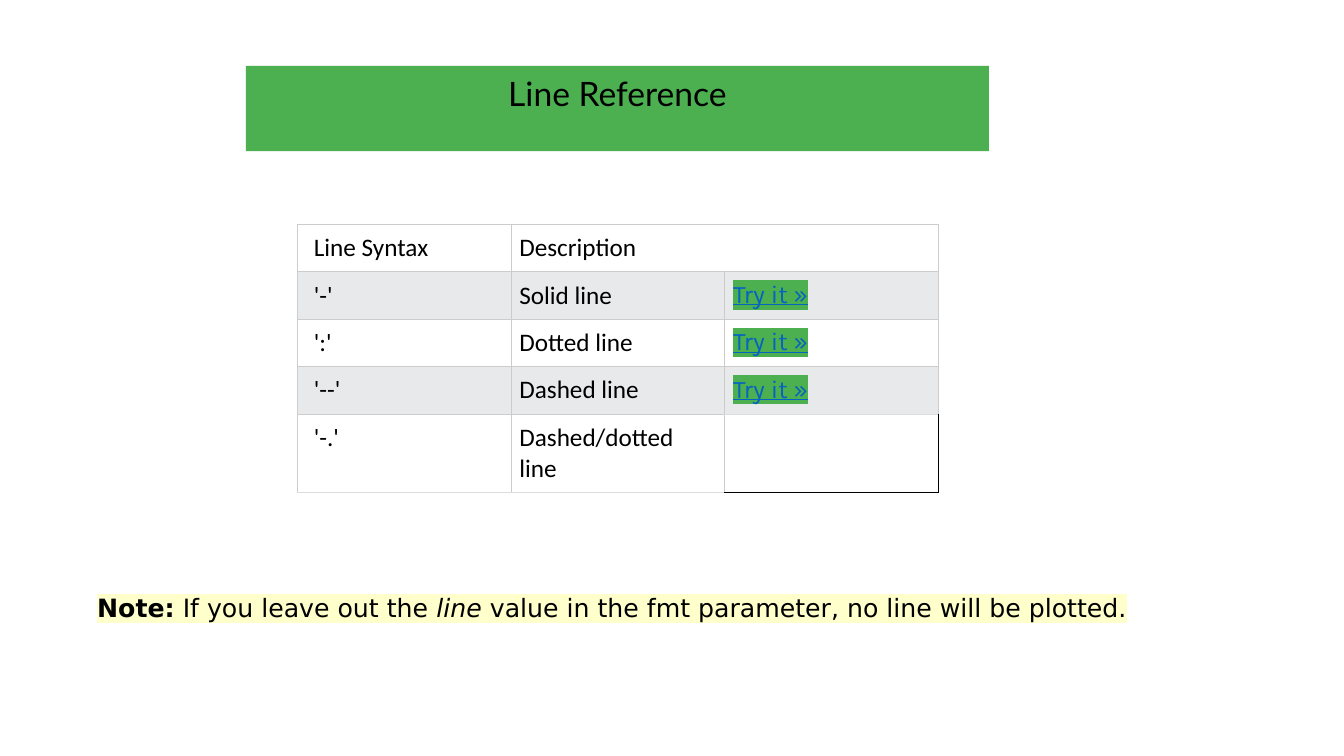
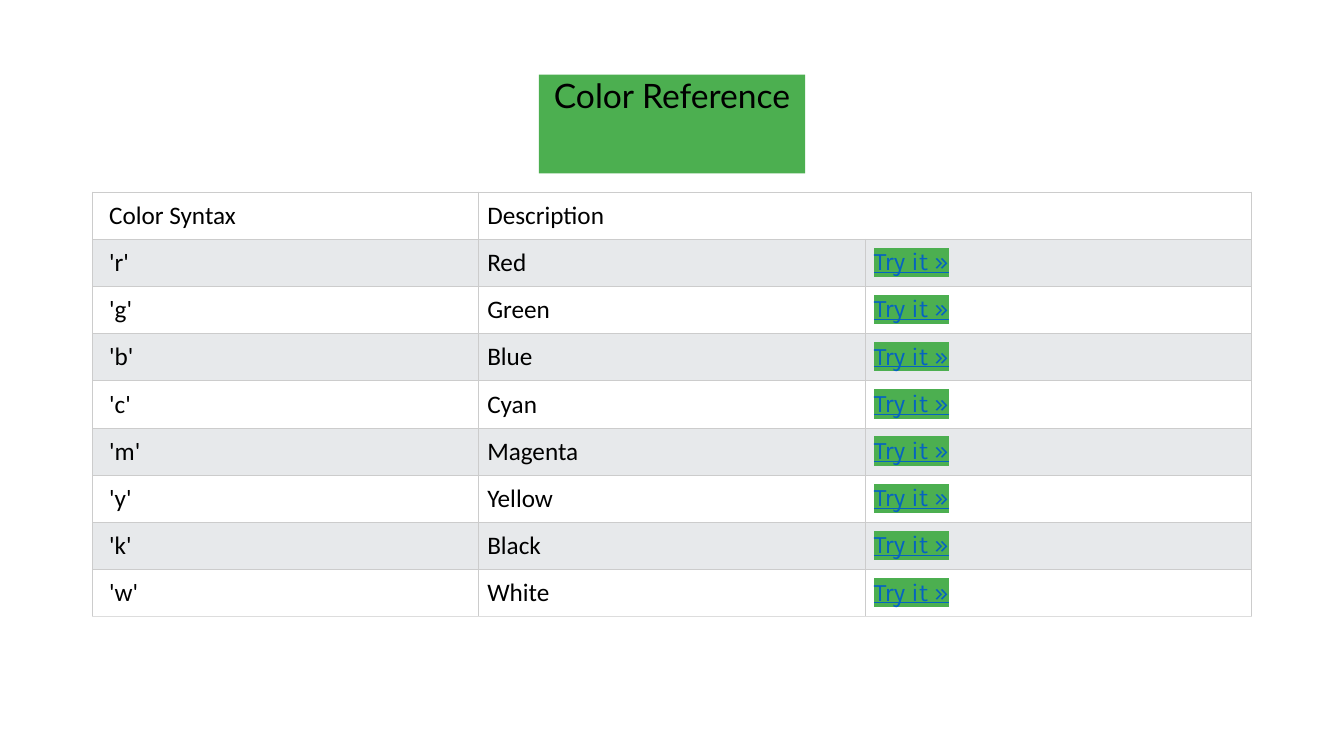
from dataclasses import dataclass

from lxml.etree import SubElement
from pptx import Presentation
from pptx.dml.color import RGBColor
from pptx.enum.shapes import MSO_SHAPE
from pptx.enum.text import MSO_ANCHOR, PP_ALIGN
from pptx.oxml import parse_xml
from pptx.oxml.ns import nsdecls, qn
from pptx.util import Cm, Pt


@dataclass(frozen=True)
class Theme:
    text: str = "000000"
    green: str = "4CAF50"
    link: str = "0563C1"
    white: str = "FFFFFF"
    stripe: str = "E7E9EB"
    border: str = "CCCCCC"
    last_border: str = "DDDDDD"
    note: str = "FFFFCC"
    title_font: str = "Lato"
    body_font: str = "Calibri"
    link_font: str = "Karla"
    note_font: str = "DejaVu Sans"
    title_size: int = 24
    body_size: int = 18
    border_width: float = 0.75
    open_width: float = 1


THEME = Theme()
ROW_HEIGHT = 1.19
CELL_MARGIN = 0.21
FIRST_MARGIN = 0.42
TRY_IT = "Try it »"

# Boxes are left, top, width, height in centimetres.
SLIDES = [
    {
        "title": "Line Reference",
        "band": (6.2, 1.66, 18.72, 2.15),
        "title_inset": 0.18,
        "table_at": (7.49, 5.65),
        "column_width": 5.39,
        "rows": [
            ("Line Syntax", "Description"),
            ("'-'", "Solid line", TRY_IT),
            ("':'", "Dotted line", TRY_IT),
            ("'--'", "Dashed line", TRY_IT),
            ("'-.'", "Dashed/dotted line", ""),
        ],
        "note_box": (2.2, 14.8, 29.45, 1.03),
        "note": [
            ("Note:", "bold"),
            (" If you leave out the ", ""),
            ("line", "italic"),
            (" value in the fmt parameter, no line will be plotted.", ""),
        ],
    },
    {
        "title": "Color Reference",
        "band": (13.58, 1.88, 6.71, 2.49),
        "title_inset": 0,
        "table_at": (2.33, 4.84),
        "column_width": 9.74,
        "rows": [
            ("Color Syntax", "Description"),
            ("'r'", "Red", TRY_IT),
            ("'g'", "Green", TRY_IT),
            ("'b'", "Blue", TRY_IT),
            ("'c'", "Cyan", TRY_IT),
            ("'m'", "Magenta", TRY_IT),
            ("'y'", "Yellow", TRY_IT),
            ("'k'", "Black", TRY_IT),
            ("'w'", "White", TRY_IT),
        ],
    },
]


def rgb(color):
    return RGBColor.from_string(color)


def style_run(r, font, size=THEME.body_size, color=THEME.text, highlight=None):
    r.font.name = font
    r.font.size = Pt(size)
    r.font.color.rgb = rgb(color)
    if highlight:
        mark = parse_xml(
            f'<a:highlight {nsdecls("a")}><a:srgbClr val="{highlight}"/></a:highlight>')
        r.font._element.find(qn("a:solidFill")).addnext(mark)


def set_borders(cell, sides):
    """Draw cell edges; sides maps L, R, T, B, in that order, to (colour, width)."""
    tcPr = cell._tc.get_or_add_tcPr()
    for i, (side, (color, width)) in enumerate(sides.items()):
        ln = parse_xml(f'<a:ln{side} {nsdecls("a")} w="{Pt(width)}"/>')
        fill = SubElement(ln, qn("a:solidFill"))
        SubElement(fill, qn("a:srgbClr"), val=color)
        tcPr.insert(i, ln)


def add_title(slide, text, band, inset):
    sp = slide.shapes.add_shape(MSO_SHAPE.RECTANGLE, *map(Cm, band))
    sp.shadow.inherit = False
    sp.fill.solid()
    sp.fill.fore_color.rgb = rgb(THEME.green)
    sp.line.fill.background()
    tf = sp.text_frame
    tf.margin_left = tf.margin_right = tf.margin_bottom = 0
    tf.margin_top = Cm(inset)
    tf.vertical_anchor = MSO_ANCHOR.TOP
    tf.text = text
    p = tf.paragraphs[0]
    p.alignment = PP_ALIGN.CENTER
    style_run(p.runs[0], THEME.title_font, THEME.title_size)


def fill_cell(cell, text, first_column, striped):
    cell.margin_left = Cm(FIRST_MARGIN if first_column else CELL_MARGIN)
    cell.margin_right = cell.margin_top = cell.margin_bottom = Cm(CELL_MARGIN)
    cell.fill.solid()
    cell.fill.fore_color.rgb = rgb(THEME.stripe if striped else THEME.white)
    cell.text_frame.text = text
    for r in cell.text_frame.paragraphs[0].runs:
        if text == TRY_IT:
            style_run(r, THEME.link_font, color=THEME.link, highlight=THEME.green)
            r.font.underline = True
        else:
            style_run(r, THEME.body_font)


def add_reference_table(slide, rows, at, column_width):
    columns = max(map(len, rows))
    size = (column_width * columns, ROW_HEIGHT * len(rows))
    table = slide.shapes.add_table(
        len(rows), columns, *map(Cm, at + size)).table
    table.first_row = table.horz_banding = False
    edge = (THEME.border, THEME.border_width)
    last_edge = (THEME.last_border, THEME.border_width)
    open_edge = (THEME.text, THEME.open_width)
    for i, row in enumerate(rows):
        bottom = last_edge if i == len(rows) - 1 else edge
        for j in range(columns):
            cell = table.cell(i, j)
            sides = {"L": edge, "R": edge, "T": edge, "B": bottom}
            text = row[j] if j < len(row) else ""
            fill_cell(cell, text, j == 0, i % 2 == 1)
            if j < len(row) and not text:
                cell.fill.background()
                sides.update(R=open_edge, T=last_edge, B=open_edge)
            set_borders(cell, sides)
        if len(row) < columns:
            table.cell(i, len(row) - 1).merge(table.cell(i, columns - 1))


def add_note(slide, parts, box):
    tf = slide.shapes.add_textbox(*map(Cm, box)).text_frame
    tf.word_wrap = True
    p = tf.paragraphs[0]
    for text, emphasis in parts:
        r = p.add_run()
        r.text = text
        style_run(r, THEME.note_font, highlight=THEME.note)
        r.font.bold = emphasis == "bold"
        r.font.italic = emphasis == "italic"


def main():
    prs = Presentation()
    prs.slide_width, prs.slide_height = Cm(33.87), Cm(19.05)
    for content in SLIDES:
        slide = prs.slides.add_slide(prs.slide_layouts[6])
        add_reference_table(
            slide, content["rows"], content["table_at"], content["column_width"])
        add_title(slide, content["title"], content["band"], content["title_inset"])
        if "note" in content:
            add_note(slide, content["note"], content["note_box"])
    prs.save("out.pptx")


if __name__ == "__main__":
    main()
